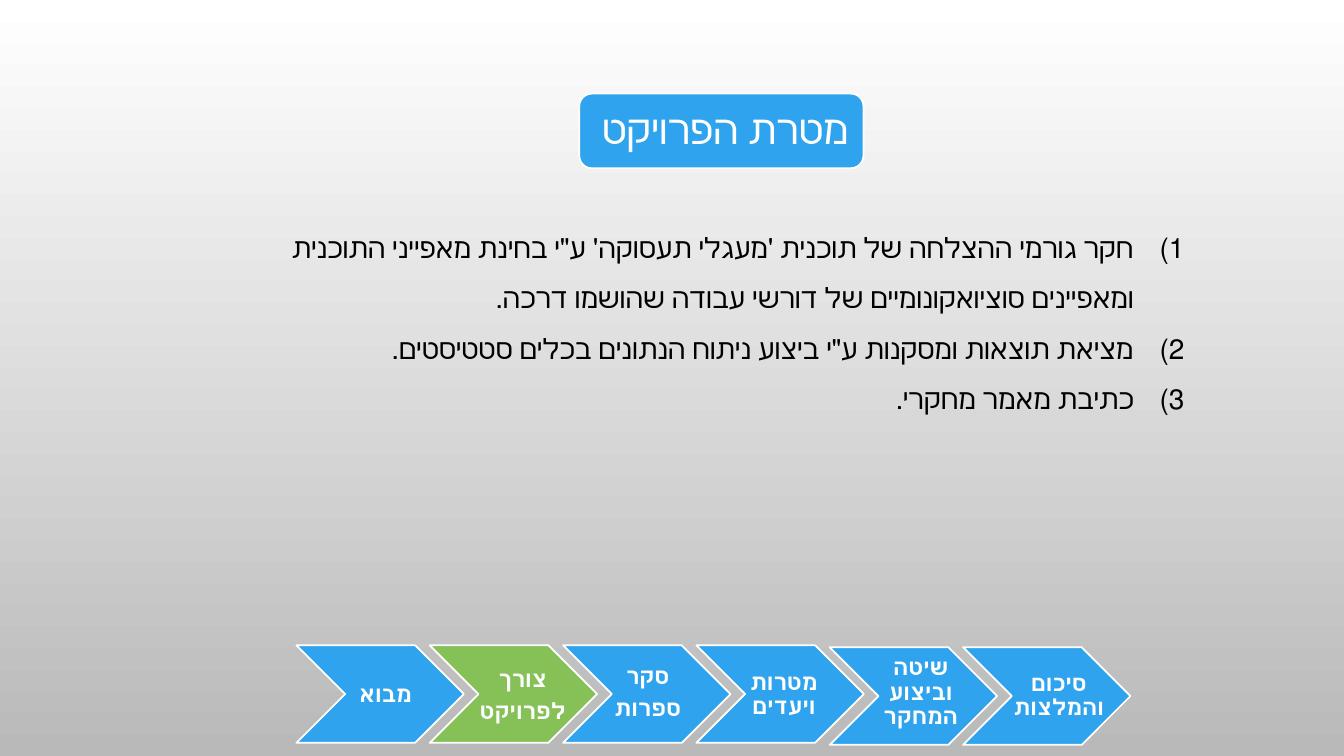
from lxml.etree import SubElement
from pptx import Presentation
from pptx.dml.color import RGBColor
from pptx.enum.shapes import MSO_SHAPE
from pptx.enum.text import MSO_ANCHOR, MSO_AUTO_SIZE, PP_ALIGN
from pptx.oxml.ns import qn
from pptx.util import Cm, Pt

COLORS = {
    "blue": "2FA3EE",
    "green": "86C157",
    "white": "FFFFFF",
    "black": "000000",
    "gray": "B9B9B9",
}

GOALS = [
    [
        ("חקר גורמי ההצלחה של תוכנית 'מעגלי תעסוקה' ע\"י בחינת מאפייני התוכנית "
         "ומאפיינים סוציואקונומיים של ", "Times New Roman"),
        ("דורשי עבודה", "Lato"),
        (" שהושמו דרכה.", "Times New Roman"),
    ],
    [("מציאת תוצאות ומסקנות ע\"י ביצוע ניתוח הנתונים בכלים סטטיסטים.", "Times New Roman")],
    [("כתיבת מאמר מחקרי.", "Times New Roman")],
]

STAGES = [
    (["מבוא"], "blue", 16.26, 8.38, 16.28, 16),
    (["צורך", "לפרויקט"], "green", 16.26, 11.84, 16.31, 16),
    (["סקר", "ספרות"], "blue", 16.26, 14.99, 16.23, 16),
    (["מטרות ויעדים"], "blue", 16.26, 18.42, 16.28, 16),
    (["שיטה וביצוע המחקר"], "blue", 16.31, 21.87, 16.23, 16),
    (["סיכום והמלצות"], "blue", 16.31, 25.35, 16.31, 15.8),
]
FIRST_STAGE_LEFT = 7.47
STAGE_PITCH = 3.36


def color(name):
    return RGBColor.from_string(COLORS[name])


def paint_background(slide):
    fill = slide.background.fill
    fill.gradient()
    fill.gradient_angle = 270
    for stop, position, name in zip(fill.gradient_stops, (0, 1), ("white", "gray")):
        stop.position = position
        stop.color.rgb = color(name)


def add_box(shapes, preset, left, top, width, height, fill_name):
    shape = shapes.add_shape(preset, Cm(left), Cm(top), Cm(width), Cm(height))
    shape.shadow.inherit = False
    shape.fill.solid()
    shape.fill.fore_color.rgb = color(fill_name)
    shape.line.color.rgb = color("white")
    shape.line.width = Pt(1.25)


def add_text_frame(shapes, left, top, width, height):
    text_box = shapes.add_textbox(Cm(left), Cm(top), Cm(width), Cm(height))
    text_box.text_frame.word_wrap = True
    return text_box.text_frame


def set_insets(text_frame, left, others):
    text_frame.vertical_anchor = MSO_ANCHOR.MIDDLE
    text_frame.margin_left = Cm(left)
    text_frame.margin_top = Cm(others)
    text_frame.margin_right = Cm(others)
    text_frame.margin_bottom = Cm(others)


def next_paragraph(text_frame, index):
    return text_frame.add_paragraph() if index else text_frame.paragraphs[0]


def format_paragraph(paragraph, alignment, spacing, size, color_name):
    paragraph.alignment = alignment
    paragraph.line_spacing = spacing
    paragraph.font.size = Pt(size)
    paragraph.font.color.rgb = color(color_name)
    paragraph._p.get_or_add_pPr().set("rtl", "1")


def add_label(text_frame, lines, alignment, size, bold):
    for index, line in enumerate(lines):
        paragraph = next_paragraph(text_frame, index)
        paragraph.text = line
        format_paragraph(paragraph, alignment, 0.9, size, "white")
        paragraph.space_after = Pt(round(size * 0.35, 1))
        paragraph.font.name = "Calibri"
        paragraph.font.bold = bold


def number_paragraph(paragraph):
    properties = paragraph._p.get_or_add_pPr()
    properties.set("marL", str(Cm(1.27)))
    properties.set("indent", str(-Cm(1.27)))
    SubElement(properties, qn("a:buAutoNum"), type="arabicParenR")


def add_title(slide):
    shapes = slide.shapes.add_group_shape().shapes
    add_box(shapes, MSO_SHAPE.ROUNDED_RECTANGLE, 14.6, 2.36, 7.16, 1.88, "blue")
    text_frame = add_text_frame(shapes, 14.71, 2.46, 6.98, 1.7)
    set_insets(text_frame, 0.3, 0.3)
    add_label(text_frame, ["מטרת הפרויקט"], PP_ALIGN.RIGHT, 29, False)


def add_goals(slide):
    text_frame = add_text_frame(slide.shapes, 5.92, 5.26, 24.18, 5.28)
    text_frame.auto_size = MSO_AUTO_SIZE.SHAPE_TO_FIT_TEXT
    for index, goal in enumerate(GOALS):
        paragraph = next_paragraph(text_frame, index)
        number_paragraph(paragraph)
        format_paragraph(paragraph, PP_ALIGN.RIGHT, 1.5, 20, "black")
        for text, font_name in goal:
            run = paragraph.add_run()
            run.text = text
            run.font.name = font_name


def add_stage(slide, index, lines, fill_name, top, text_left, text_top, size):
    shapes = slide.shapes.add_group_shape().shapes
    left = FIRST_STAGE_LEFT + index * STAGE_PITCH
    add_box(shapes, MSO_SHAPE.CHEVRON, left, top, 4.22, 2.46, fill_name)
    text_frame = add_text_frame(shapes, text_left, text_top, 2.54, 2.46)
    set_insets(text_frame, 0.18, 0.05)
    add_label(text_frame, lines, PP_ALIGN.CENTER, size, True)


def main():
    presentation = Presentation()
    presentation.slide_width = Cm(33.87)
    presentation.slide_height = Cm(19.05)
    slide = presentation.slides.add_slide(presentation.slide_layouts[6])
    paint_background(slide)
    add_title(slide)
    add_goals(slide)
    for index, stage in enumerate(STAGES):
        add_stage(slide, index, *stage)
    presentation.save("out.pptx")


if __name__ == "__main__":
    main()
